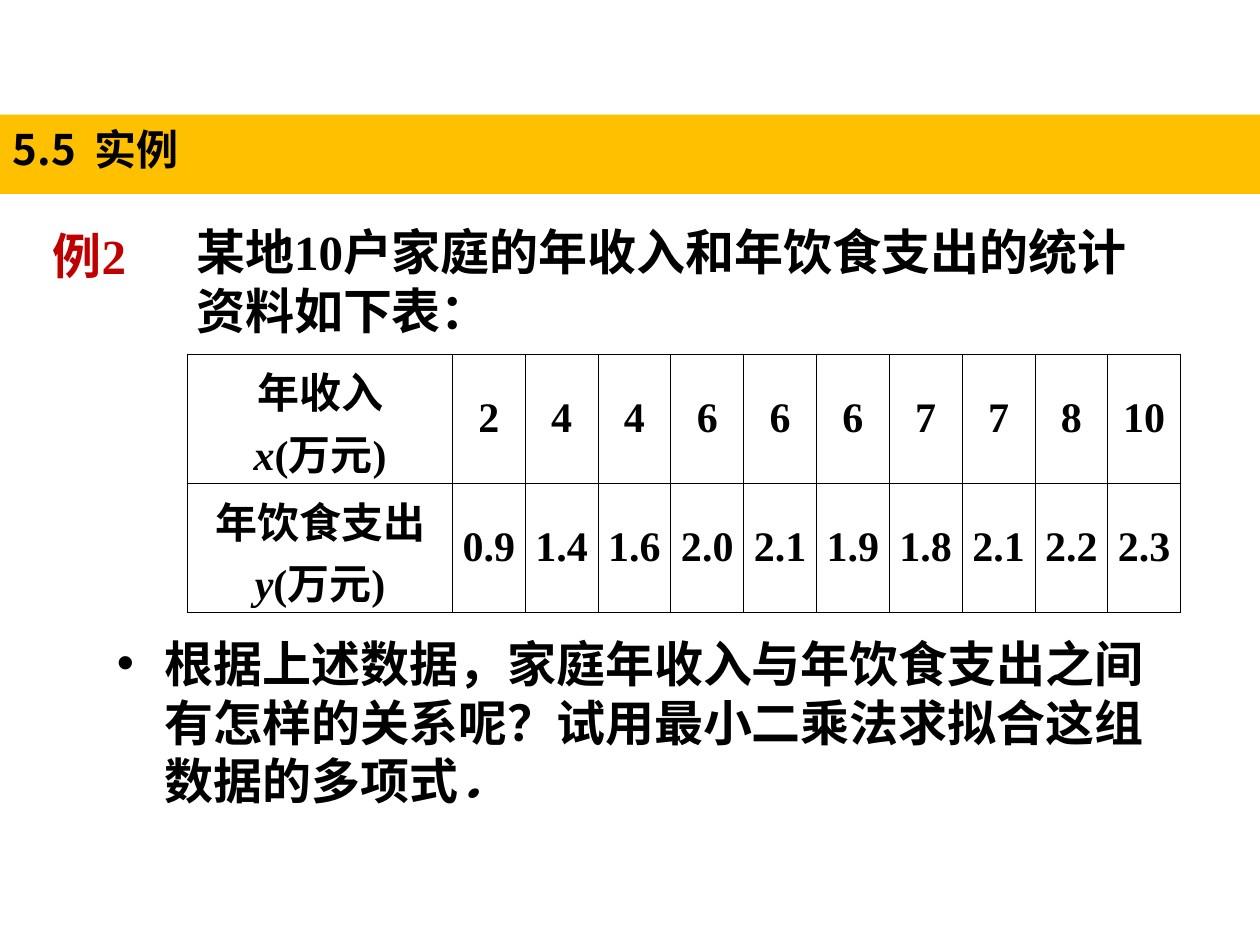
from pptx import Presentation
from pptx.dml.color import RGBColor
from pptx.enum.text import MSO_ANCHOR as ANCHOR, PP_ALIGN as ALIGN
from pptx.oxml.ns import qn
from pptx.util import Inches, Pt
from lxml.etree import SubElement

COLORS = {"ink": "000000", "band": "FFC000", "accent": "C00000"}
CJK = "Noto Sans CJK SC"
SERIF = "Times New Roman"
ROWS = [
    ("年收入", "x", ["2", "4", "4", "6", "6", "6", "7", "7", "8", "10"]),
    ("年饮食支出", "y", ["0.9", "1.4", "1.6", "2.0", "2.1",
                    "1.9", "1.8", "2.1", "2.2", "2.3"]),
]


def color(name):
    """Return a named colour."""
    return RGBColor.from_string(COLORS[name])


def add_run(p, text, size=24, font=SERIF, ink="ink", italic=False):
    """Add a bold run with Latin and East Asian fonts."""
    r = p.add_run()
    r.text = text
    r.font.size = Pt(size)
    r.font.bold = True
    r.font.italic = italic
    r.font.color.rgb = color(ink)
    r.font.name = font
    SubElement(r.font._element, qn("a:ea"), typeface=CJK)


def set_frame(tf, top=0.09, wrap=True):
    """Set the insets, anchor and wrapping of a text frame."""
    tf.margin_left = tf.margin_right = Inches(0.1)
    tf.margin_top, tf.margin_bottom = Inches(top), Inches(0.05)
    tf.vertical_anchor = ANCHOR.TOP
    tf.word_wrap = wrap


def add_title(s, text):
    """Format the title placeholder as a full-width band."""
    sp = s.shapes.title
    sp.left, sp.top = Inches(0), Inches(0.91)
    sp.width, sp.height = Inches(10), Inches(0.63)
    sp.fill.solid()
    sp.fill.fore_color.rgb = color("band")
    set_frame(sp.text_frame, top=0.07)
    p = sp.text_frame.paragraphs[0]
    p.alignment = ALIGN.JUSTIFY
    p.line_spacing = Pt(29)
    add_run(p, text, font=CJK)


def add_text(s, box, text, ink="ink", font=SERIF, wrap=True):
    """Add a text box and return its paragraph."""
    tf = s.shapes.add_textbox(*map(Inches, box)).text_frame
    set_frame(tf, wrap=wrap)
    p = tf.paragraphs[0]
    p.line_spacing = Pt(33.5)
    add_run(p, text, size=28, font=font, ink=ink)
    return p


def add_bullet(p):
    """Give a paragraph a round bullet with a hanging indent."""
    pPr = p._p.get_or_add_pPr()
    pPr.set("marL", str(Inches(0.38)))
    pPr.set("indent", str(Inches(-0.38)))
    clr = SubElement(pPr, qn("a:buClr"))
    SubElement(clr, qn("a:srgbClr"), val=COLORS["ink"])
    SubElement(pPr, qn("a:buFont"), typeface="Arial")
    SubElement(pPr, qn("a:buChar"), char="•")


def set_borders(cell):
    """Draw thin lines on all sides of a cell without fill."""
    tcPr = cell._tc.get_or_add_tcPr()
    for side in ("lnL", "lnR", "lnT", "lnB"):
        ln = SubElement(tcPr, qn(f"a:{side}"), w=str(Pt(0.45)))
        fill = SubElement(ln, qn("a:solidFill"))
        SubElement(fill, qn("a:srgbClr"), val=COLORS["ink"])
    cell.fill.background()


def set_cell(cell, lines, top=0.05, bottom=0.05, spacing=None):
    """Fill a cell with centred lines, each a list of (text, italic) runs."""
    cell.vertical_anchor = ANCHOR.MIDDLE
    cell.margin_left = cell.margin_right = Inches(0.08)
    cell.margin_top, cell.margin_bottom = Inches(top), Inches(bottom)
    tf = cell.text_frame
    for i, runs in enumerate(lines):
        p = tf.add_paragraph() if i else tf.paragraphs[0]
        p.alignment = ALIGN.CENTER
        if spacing:
            p.line_spacing = Pt(spacing)
        for text, italic in runs:
            add_run(p, text, italic=italic)
    set_borders(cell)


def add_data_table(s):
    """Add the table of income and food spending."""
    box = map(Inches, (1.49, 2.81, 7.88, 2.05))
    table = s.shapes.add_table(len(ROWS), 11, *box).table
    table.first_row = table.horz_banding = False
    for i, col in enumerate(table.columns):
        col.width = Inches(0.578 if i else 2.1)
    for i, (label, symbol, values) in enumerate(ROWS):
        heading = [[(label, False)], [(symbol, True), ("(万元)", False)]]
        set_cell(table.cell(i, 0), heading, top=0.04, bottom=0, spacing=35)
        for j, value in enumerate(values, 1):
            set_cell(table.cell(i, j), [[(value, False)]])


def main():
    """Build and save the slide."""
    prs = Presentation()
    prs.slide_width, prs.slide_height = Inches(10), Inches(7.5)
    s = prs.slides.add_slide(prs.slide_layouts[5])
    add_title(s, "5.5  实例")
    p = add_text(s, (0.83, 4.94, 8.63, 1.55),
                 "根据上述数据，家庭年收入与年饮食支出之间有怎样的关系呢？"
                 "试用最小二乘法求拟合这组数据的多项式", font="Arial")
    add_bullet(p)
    add_run(p, "．", size=28, italic=True)
    add_text(s, (0.32, 1.7, 0.87, 0.57), "例2", ink="accent", wrap=False)
    add_data_table(s)
    add_text(s, (1.46, 1.67, 7.87, 1.04),
             "某地10户家庭的年收入和年饮食支出的统计资料如下表：")
    prs.save("out.pptx")


if __name__ == "__main__":
    main()
